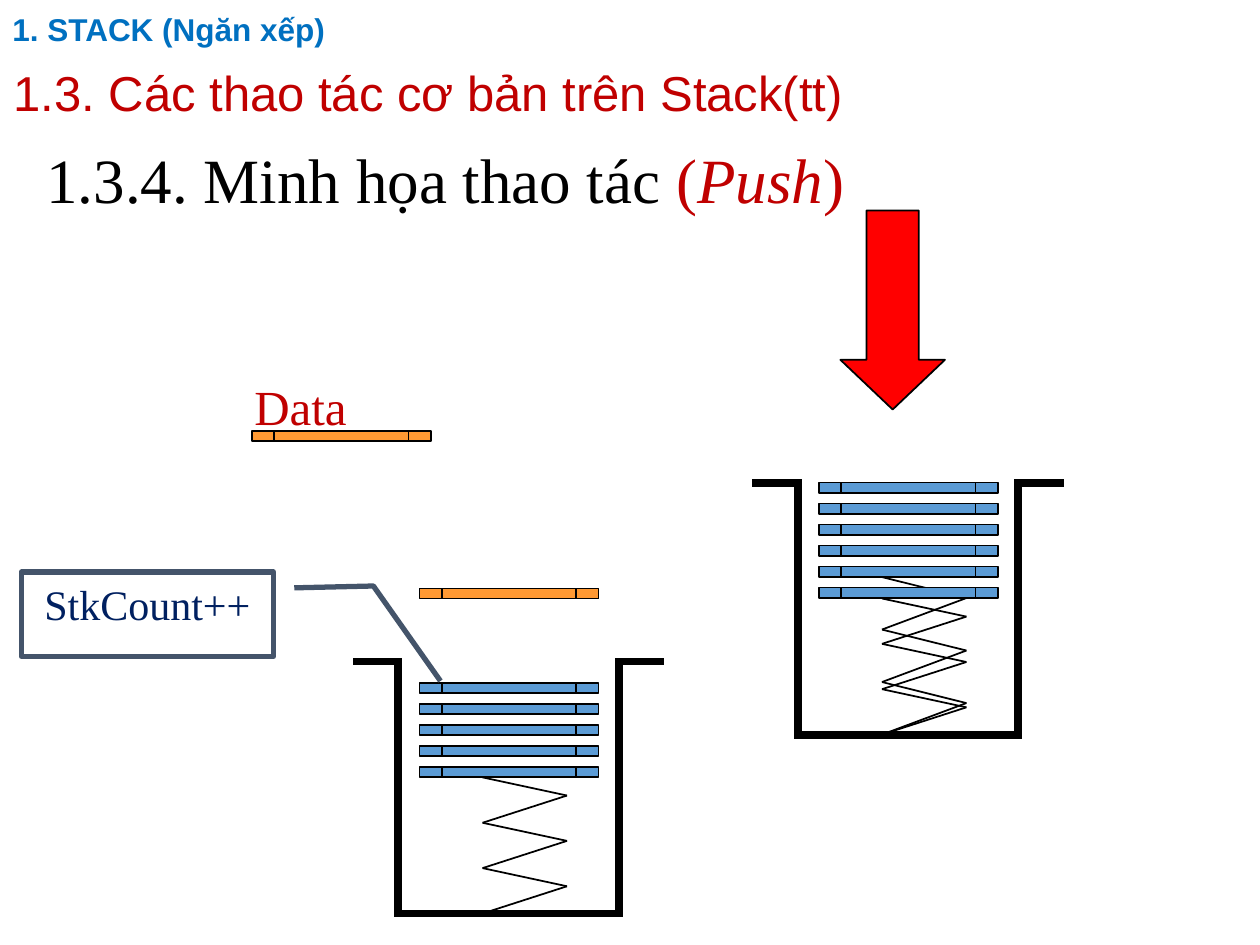
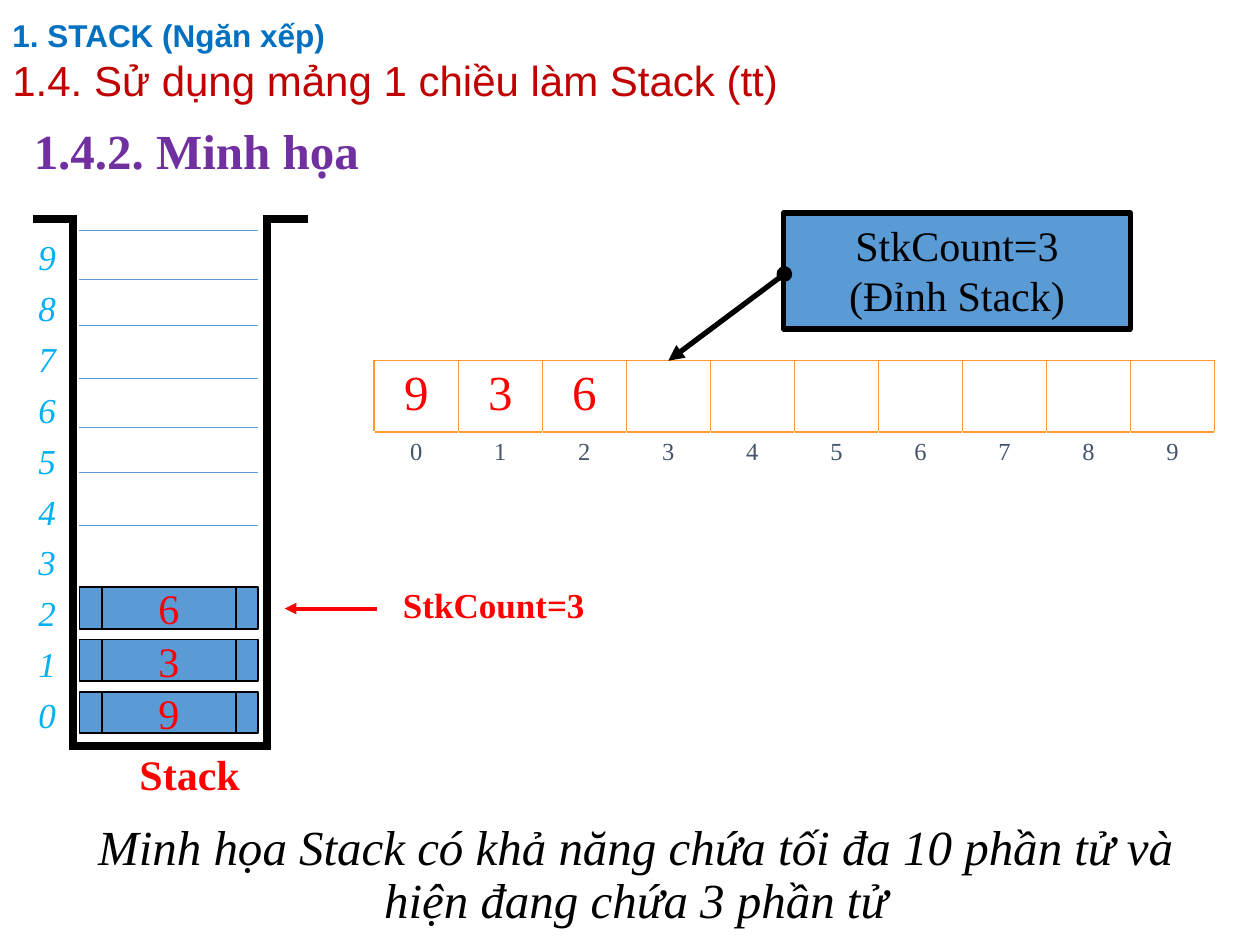
from itertools import pairwise

from lxml import etree
from pptx import Presentation
from pptx.dml.color import RGBColor
from pptx.enum.shapes import MSO_CONNECTOR, MSO_SHAPE
from pptx.enum.text import MSO_ANCHOR, PP_ALIGN
from pptx.oxml.ns import qn
from pptx.util import Inches, Pt

STRAIGHT = MSO_CONNECTOR.STRAIGHT
PLATE = MSO_SHAPE.FLOWCHART_PREDEFINED_PROCESS
DOWN_ARROW = MSO_SHAPE.DOWN_ARROW
CALLOUT_1 = MSO_SHAPE.LINE_CALLOUT_1
CALLOUT_2 = MSO_SHAPE.LINE_CALLOUT_2
TOP, MIDDLE = MSO_ANCHOR.TOP, MSO_ANCHOR.MIDDLE
LEFT, CENTER, JUSTIFY = PP_ALIGN.LEFT, PP_ALIGN.CENTER, PP_ALIGN.JUSTIFY

BLACK = RGBColor(0x00, 0x00, 0x00)
WHITE = RGBColor(0xFF, 0xFF, 0xFF)
RED = RGBColor(0xFF, 0x00, 0x00)
DARK_RED = RGBColor(0xC0, 0x00, 0x00)
BLUE = RGBColor(0x5B, 0x9B, 0xD5)
HEADER_BLUE = RGBColor(0x00, 0x70, 0xC0)
INDEX_BLUE = RGBColor(0x00, 0xB0, 0xF0)
NAVY = RGBColor(0x00, 0x20, 0x60)
SLATE = RGBColor(0x44, 0x54, 0x6A)
ORANGE = RGBColor(0xFF, 0x99, 0x33)
PURPLE = RGBColor(0x70, 0x30, 0xA0)

SANS, SERIF = "Arial", "Times New Roman"
PLATE_WIDTH = 1.42
PLATE_PITCH = 1 / 6


def add_run(p, text, size, color, font=SERIF, bold=False, italic=False):
    r = p.add_run()
    r.text = text
    r.font.size = Pt(size)
    r.font.name = font
    r.font.color.rgb = color
    r.font.bold = bold
    r.font.italic = italic


def fill_text(tf, lines, size, color, align=LEFT, anchor=TOP, spacing=None,
              before=None, **style):
    """Write one paragraph for each line."""
    tf.vertical_anchor = anchor
    for i, line in enumerate(lines):
        p = tf.add_paragraph() if i else tf.paragraphs[0]
        p.alignment = align
        p.line_spacing = spacing
        if before is not None:
            p.space_before = Pt(before)
        add_run(p, line, size, color, **style)


def add_text(slide, box, lines, size, color, **style):
    sp = slide.shapes.add_textbox(*map(Inches, box))
    sp.text_frame.word_wrap = True
    fill_text(sp.text_frame, lines, size, color, **style)
    return sp


def add_shape(slide, kind, box, fill, line=BLACK, width=1, adjustments=()):
    sp = slide.shapes.add_shape(kind, *map(Inches, box))
    sp.shadow.inherit = False
    sp.fill.solid()
    sp.fill.fore_color.rgb = fill
    sp.line.color.rgb = line
    sp.line.width = Pt(width)
    for i, value in enumerate(adjustments):
        sp.adjustments[i] = value
    return sp


def line_xml(shape):
    return shape._element.spPr.find(qn("a:ln"))


def add_line(slide, start, end, color, width):
    line = slide.shapes.add_connector(STRAIGHT, *map(Inches, (*start, *end)))
    line.line.color.rgb = color
    line.line.width = Pt(width)
    etree.SubElement(line._element.spPr, qn("a:effectLst"))
    return line


def add_line_end(shape, end, kind):
    etree.SubElement(line_xml(shape), qn(f"a:{end}"), type=kind)


def add_header(slide, height, section, section_box, size):
    """Chapter line and section heading at the top of the slide."""
    add_text(slide, (0, 0, 8.62, height), ["1. STACK (Ngăn xếp)"], 18,
             HEADER_BLUE, font=SANS, bold=True, anchor=MIDDLE, spacing=0.9)
    add_text(slide, section_box, [section], size, DARK_RED, font=SANS,
             anchor=MIDDLE, spacing=0.9, before=7.5)


def add_container(slide, left, right, top, bottom, lip):
    """Open box with a lip on either side."""
    corners = [(left - lip, top), (left, top), (left, bottom),
               (right, bottom), (right, top), (right + lip, top)]
    for start, end in pairwise(corners):
        line_xml(add_line(slide, start, end, BLACK, 4.5)).set("cap", "sq")


def add_spring(slide, left, top, bottom, turns=3):
    right = left + 0.67
    turn = (bottom - top) / turns
    points = [(left, bottom)]
    for i in range(turns):
        y = bottom - i * turn
        points += [(right, y - 0.6 * turn), (left, y - turn)]
    for start, end in pairwise(points):
        add_line(slide, start, end, BLACK, 1)


def add_plate(slide, left, top, fill=BLUE, height=0.08):
    return add_shape(slide, PLATE, (left, top, PLATE_WIDTH, height), fill)


def add_spring_stack(slide, left, top, spring_tops, plate_top, plate_count):
    """Container whose plates rest on a spring."""
    bottom = top + 2
    add_container(slide, left + 0.33, left + 2.08, top, bottom, 0.33)
    for spring_top in spring_tops:
        add_spring(slide, left + 1, spring_top, bottom)
    for i in range(plate_count):
        add_plate(slide, left + 0.5, plate_top + i * PLATE_PITCH)


def set_border(cell, sides):
    tc_pr = cell._tc.get_or_add_tcPr()
    for side in sides:
        ln = etree.SubElement(tc_pr, qn(f"a:ln{side}"), w=str(Pt(1)))
        fill = etree.SubElement(ln, qn("a:solidFill"))
        etree.SubElement(fill, qn("a:srgbClr"), val=str(ORANGE))


def add_array(slide, values, count):
    """Array cells with their indexes underneath."""
    frame = slide.shapes.add_table(2, count, Inches(2.97), Inches(2.86),
                                   Inches(6.67), Inches(0.96))
    table = frame.table
    table.first_row = table.horz_banding = False
    rows = [(0.57, values + [""] * (count - len(values)), 28, RED, "LRTB"),
            (0.39, [str(i) for i in range(count)], 14, SLATE, "T")]
    for row, (height, texts, size, color, sides) in enumerate(rows):
        table.rows[row].height = Inches(height)
        for col, text in enumerate(texts):
            cell = table.cell(row, col)
            set_border(cell, sides)
            cell.fill.background()
            if text:
                fill_text(cell.text_frame, [text], size, color, align=CENTER)


def build_push_slide(slide):
    add_header(slide, 0.5, "1.3. Các thao tác cơ bản trên Stack(tt)",
               (0.01, 0.46, 8.62, 0.6), 28)
    body = add_text(slide, (0.27, 1.01, 8.62, 4.76),
                    ["1.3.4. Minh họa thao tác "], 36, BLACK,
                    align=JUSTIFY, spacing=1.1, before=6)
    for text in ("(", "Push", ")"):
        add_run(body.text_frame.paragraphs[0], text, 36, DARK_RED,
                italic=text == "Push")

    add_plate(slide, 2, 3.42, ORANGE)
    add_text(slide, (1.92, 2.94, 1.25, 0.57), ["Data"], 28, DARK_RED)
    add_shape(slide, DOWN_ARROW, (6.67, 1.67, 0.83, 1.58), RED,
              adjustments=(0.5, 0.475))
    add_spring_stack(slide, 6, 3.83, (4.58, 4.75), 3.83, 6)
    add_spring_stack(slide, 2.83, 5.25, (6.17,), 5.42, 5)
    add_plate(slide, 3.33, 4.67, ORANGE)

    counter = add_shape(slide, CALLOUT_2, (0.17, 4.54, 2, 0.67), WHITE, SLATE, 3,
                        (0.188, 1.083, 0.166, 1.397, 1.291, 1.663))
    fill_text(counter.text_frame, ["StkCount++"], 24, NAVY, align=CENTER)


def build_array_slide(slide):
    add_header(slide, 0.59, "1.4. Sử dụng mảng 1 chiều làm Stack (tt)",
               (0, 0.4, 8.62, 0.51), 24)
    add_text(slide, (0.17, 0.82, 9.67, 0.7), ["1.4.2. Minh họa"], 28, PURPLE,
             bold=True, align=JUSTIFY, anchor=MIDDLE, spacing=1.1, before=6)

    capacity, items = 10, ["9", "3", "6"]
    add_container(slide, 0.58, 2.12, 1.74, 5.92, 0.29)
    for i, item in enumerate(items):
        tf = add_plate(slide, 0.63, 5.49 - i * 0.415, height=0.33).text_frame
        tf.word_wrap = False
        fill_text(tf, [item], 24, RED, align=CENTER, anchor=MIDDLE)
    for y in (1.83, 2.22, 2.58, 3, 3.39, 3.75, 4.17):
        add_line(slide, (0.63, y), (2.05, y), BLUE, 0.5)
    add_text(slide, (0.05, 1.61, 0.65, 4.53),
             [str(i) for i in reversed(range(capacity))], 20, INDEX_BLUE,
             italic=True, align=CENTER, anchor=MIDDLE, spacing=0.9, before=7.5)
    add_text(slide, (0.63, 5.89, 1.75, 0.5), ["Stack"], 24, RED,
             bold=True, align=CENTER)

    add_array(slide, items, capacity)
    top_note = add_shape(slide, CALLOUT_1, (6.22, 1.69, 2.75, 0.92), BLUE,
                         BLACK, 3, (0.527, 0.002, 1.275, -0.333))
    add_line_end(top_note, "headEnd", "oval")
    add_line_end(top_note, "tailEnd", "triangle")
    fill_text(top_note.text_frame, ["StkCount=3", "(Đỉnh Stack)"], 24, BLACK,
              align=CENTER)

    add_text(slide, (3.1, 4.58, 1.9, 0.44), ["StkCount=3"], 20, RED, bold=True)
    pointer = add_line(slide, (2.99, 4.83), (2.26, 4.83), RED, 2.25)
    add_line_end(pointer, "tailEnd", "triangle")
    add_text(slide, (0.42, 6.4, 9.25, 1.1),
             ["Minh họa Stack có khả năng chứa tối đa 10 phần tử và "
              "hiện đang chứa 3 phần tử"], 28, BLACK, italic=True,
             align=CENTER, anchor=MIDDLE, spacing=0.9, before=7.5)


def main():
    prs = Presentation()
    prs.slide_width, prs.slide_height = Inches(10), Inches(7.5)
    for build in (build_push_slide, build_array_slide):
        build(prs.slides.add_slide(prs.slide_layouts[6]))
    prs.save("out.pptx")


if __name__ == "__main__":
    main()
